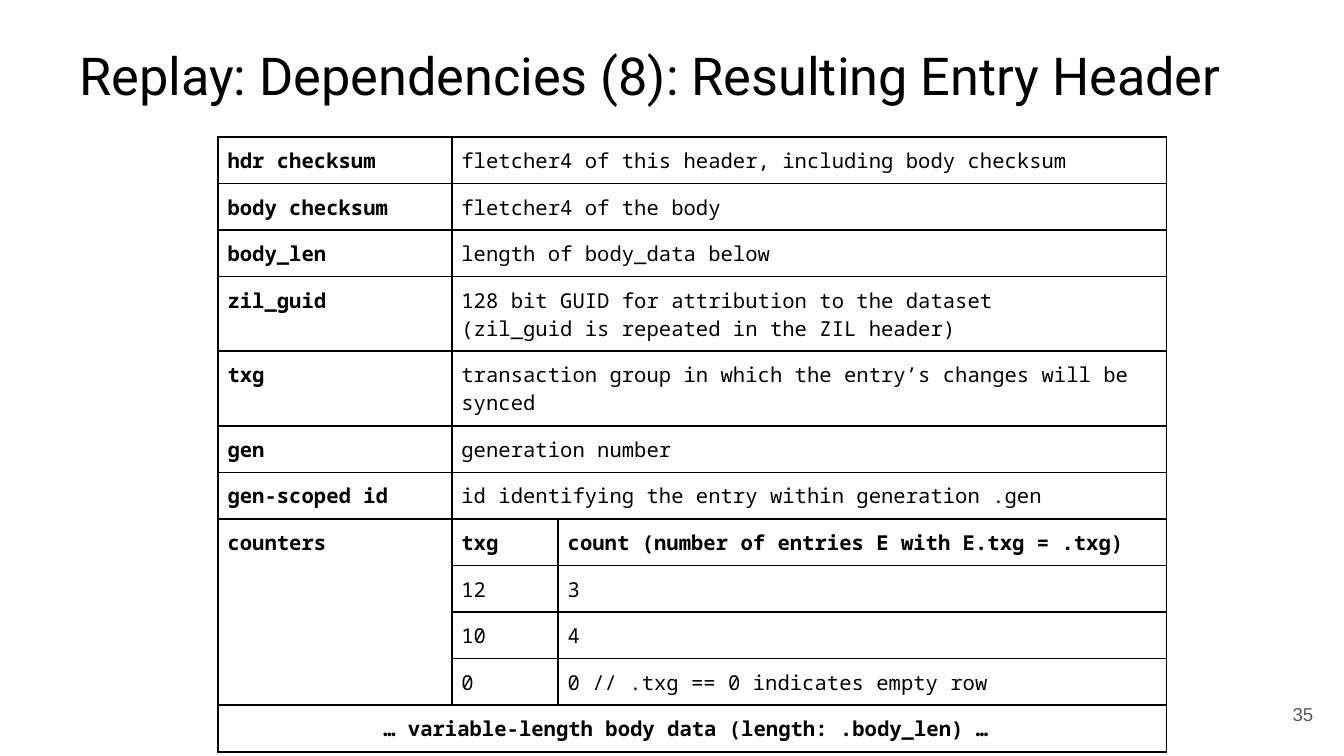
from dataclasses import dataclass

from lxml import etree
from pptx import Presentation
from pptx.dml.color import RGBColor
from pptx.enum.text import MSO_ANCHOR, MSO_AUTO_SIZE, PP_ALIGN
from pptx.oxml.ns import qn
from pptx.util import Cm, Pt

LEFT, CENTER, RIGHT = PP_ALIGN.LEFT, PP_ALIGN.CENTER, PP_ALIGN.RIGHT
TOP, MIDDLE = MSO_ANCHOR.TOP, MSO_ANCHOR.MIDDLE
NO_AUTOFIT = MSO_AUTO_SIZE.NONE
TITLE_ONLY = 5


@dataclass(frozen=True)
class Theme:
    """Colours, fonts and type sizes of the slide."""
    ink: str = "000000"
    muted: str = "595959"
    title_font: str = "Roboto"
    table_font: str = "Noto Sans Mono"
    number_font: str = "Arial"
    title_size: int = 28
    table_size: int = 11
    number_size: int = 10
    border: int = 1


THEME = Theme()

FIELDS = [
    ("hdr checksum", "fletcher4 of this header, including body checksum"),
    ("body checksum", "fletcher4 of the body"),
    ("body_len", "length of body_data below"),
    ("zil_guid", "128 bit GUID for attribution to the dataset\n"
                 "(zil_guid is repeated in the ZIL header)"),
    ("txg", "transaction group in which the entry’s changes will be synced"),
    ("gen", "generation number"),
    ("gen-scoped id", "id identifying the entry within generation .gen"),
]
COUNTERS = [
    ("txg", "count (number of entries E with E.txg = .txg)"),
    ("12", "3"),
    ("10", "4"),
    ("0", "0 // .txg == 0 indicates empty row"),
]
BODY = "… variable-length body data (length: .body_len) … "
COLUMN_WIDTHS = (4.42, 2.01, 6.78, 4.72)
ROW_HEIGHT, TALL_ROW_HEIGHT = 0.88, 1.41
TALL_ROWS = (3, 4)


def write(frame, text, font, size, color, bold=False, align=LEFT):
    """Set the text of a frame and format all its runs."""
    frame.text = text
    for para in frame.paragraphs:
        para.alignment = align
        for span in para.runs:
            span.font.name = font
            span.font.size = Pt(size)
            span.font.bold = bold
            span.font.color.rgb = RGBColor.from_string(color)


def set_margins(frame, margin):
    """Give a text frame the same margin on every side."""
    frame.margin_left = frame.margin_right = margin
    frame.margin_top = frame.margin_bottom = margin


def outline(cell):
    """Draw the four borders of a cell."""
    properties = cell._tc.get_or_add_tcPr()
    for side in ("a:lnL", "a:lnR", "a:lnT", "a:lnB"):
        line = etree.SubElement(properties, qn(side), w=str(Pt(THEME.border)))
        fill = etree.SubElement(line, qn("a:solidFill"))
        etree.SubElement(fill, qn("a:srgbClr"), val=THEME.ink)


def fill_cell(table, row, column, text, bold=False, align=LEFT, end=None):
    """Write a cell, merged up to the end cell if one is given."""
    cell = table.cell(row, column)
    if end:
        cell.merge(table.cell(*end))
    write(cell.text_frame, text, THEME.table_font, THEME.table_size,
          THEME.ink, bold, align)


def add_title(page, left, top, width, height):
    """Place the slide title."""
    box = page.shapes.title
    box.left, box.top, box.width, box.height = left, top, width, height
    frame = box.text_frame
    set_margins(frame, Cm(0.25))
    frame.vertical_anchor = TOP
    frame.auto_size = NO_AUTOFIT
    write(frame, "Replay: Dependencies (8): Resulting Entry Header",
          THEME.title_font, THEME.title_size, THEME.ink)


def add_header_table(page, left, top):
    """Place the table of entry header fields."""
    row_count = len(FIELDS) + len(COUNTERS) + 1
    last_row, last_column = row_count - 1, len(COLUMN_WIDTHS) - 1
    table = page.shapes.add_table(
        row_count, len(COLUMN_WIDTHS), left, top,
        Cm(sum(COLUMN_WIDTHS)), Cm(ROW_HEIGHT * row_count)).table
    table.first_row = table.horz_banding = False
    for column, width in zip(table.columns, COLUMN_WIDTHS):
        column.width = Cm(width)
    for index, row in enumerate(table.rows):
        row.height = Cm(TALL_ROW_HEIGHT if index in TALL_ROWS else ROW_HEIGHT)
    for cell in table.iter_cells():
        outline(cell)
        cell.fill.background()
        set_margins(cell, Cm(0.18))

    for row, (name, meaning) in enumerate(FIELDS):
        fill_cell(table, row, 0, name, bold=True)
        fill_cell(table, row, 1, meaning, end=(row, last_column))
    first = len(FIELDS)
    fill_cell(table, first, 0, "counters", bold=True, end=(last_row - 1, 0))
    for row, (group, count) in enumerate(COUNTERS, first):
        fill_cell(table, row, 1, group, bold=row == first)
        fill_cell(table, row, 2, count, bold=row == first,
                  end=(row, last_column))
    fill_cell(table, last_row, 0, BODY, bold=True, align=CENTER,
              end=(last_row, last_column))


def add_page_number(page, left, top, width, height):
    """Place the page number."""
    frame = page.shapes.add_textbox(left, top, width, height).text_frame
    frame.word_wrap = True
    frame.vertical_anchor = MIDDLE
    set_margins(frame, Cm(0.25))
    write(frame, "35", THEME.number_font, THEME.number_size, THEME.muted,
          align=RIGHT)


def main():
    """Build the deck and save it."""
    deck = Presentation()
    deck.slide_width, deck.slide_height = Cm(25.4), Cm(14.29)
    page = deck.slides.add_slide(deck.slide_layouts[TITLE_ONLY])
    add_title(page, Cm(1.25), Cm(0.56), Cm(23.82), Cm(2.23))
    add_page_number(page, Cm(23.54), Cm(12.96), Cm(1.53), Cm(1.09))
    add_header_table(page, Cm(4.12), Cm(2.59))
    deck.save("out.pptx")


if __name__ == "__main__":
    main()
